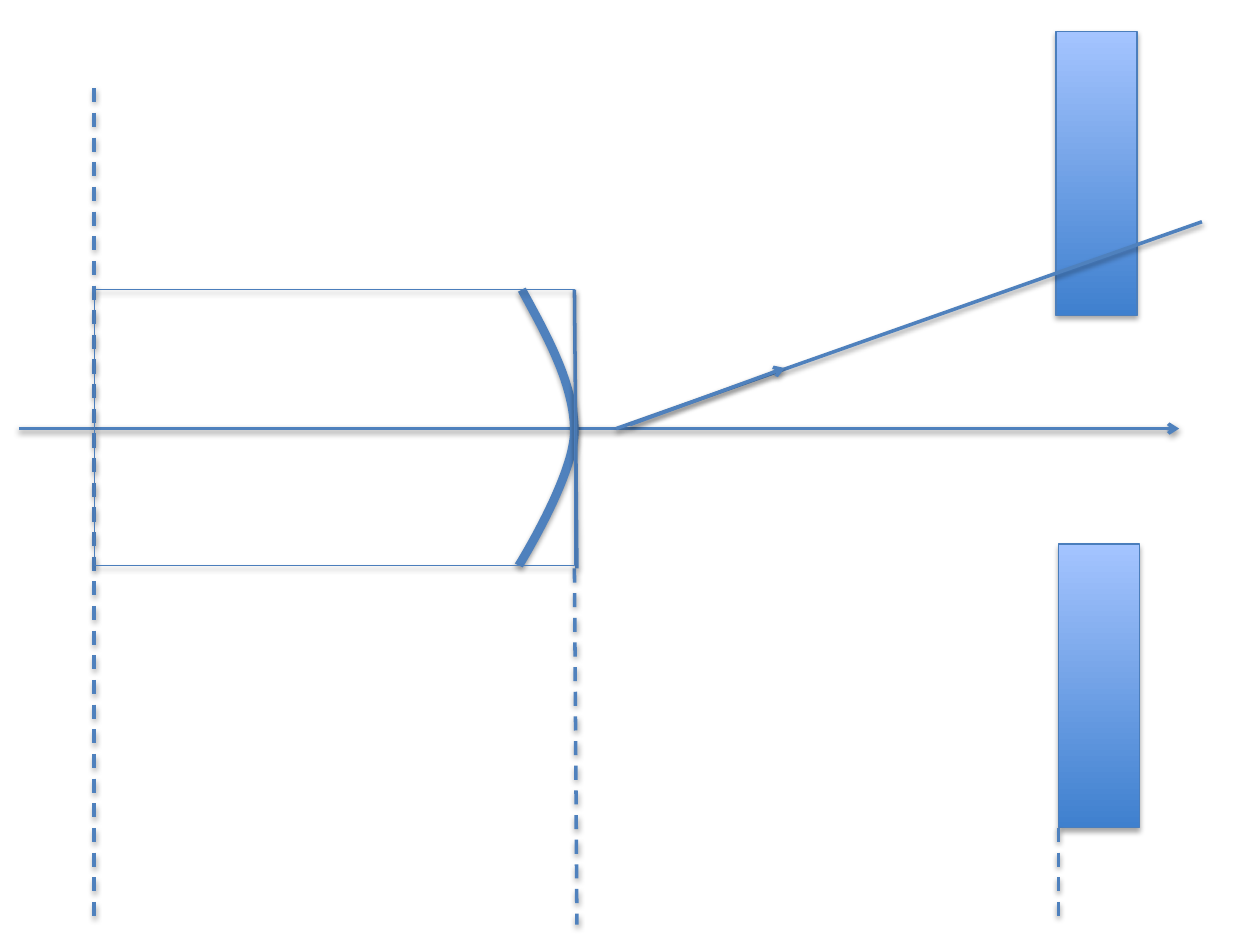
from lxml.etree import SubElement as Sub
from pptx import Presentation as Deck
from pptx.dml.color import RGBColor as Rgb
from pptx.enum.dml import MSO_LINE_DASH_STYLE as Dash
from pptx.enum.shapes import MSO_CONNECTOR_TYPE as Link, MSO_AUTO_SHAPE_TYPE as Auto
from pptx.oxml.ns import qn
from pptx.util import Cm, Pt

BLUE = Rgb(0x4F, 0x81, 0xBD)
EDGE = Rgb(0x4B, 0x7E, 0xBC)
DARK = Rgb(0x3F, 0x80, 0xCE)
LIGHT = Rgb(0xA4, 0xC4, 0xFF)

SOLID = {"width": Pt(2)}
DASHED = {"width": Pt(2), "dash_style": Dash.DASH}
THICK = {"width": Pt(5)}
THIN = {"width": Pt(0.75)}

AXIS = 8.64
LEFT, FRONT = 1.9, 11.58
TOP, BASE = 5.84, 11.4
FOOT = 18.64
WIDE, TALL = 1.63, 5.72
SLABS = [(21.29, 0.64), (21.34, 10.97)]
ARC = [
    [(10.52, TOP), (11.05, 6.81), (FRONT, 7.77), (FRONT, 8.71)],
    [(FRONT, 8.71), (11.56, 9.63), (10.46, BASE), (10.46, BASE)],
]


def shade(shape, dist, alpha):
    """Give a shape a soft shadow that falls straight down."""
    fx = Sub(shape._element.spPr, qn("a:effectLst"))
    drop = Sub(fx, qn("a:outerShdw"), blurRad="40000", dist=str(dist),
               dir="5400000", rotWithShape="0")
    tint = Sub(drop, qn("a:srgbClr"), val="000000")
    Sub(tint, qn("a:alpha"), val=str(alpha * 1000))


def style(shape, color, form, dist=20000, alpha=38):
    """Set the outline from a format dict, then the shadow."""
    shape.line.color.rgb = color
    for name, value in form.items():
        setattr(shape.line, name, value)
    shade(shape, dist, alpha)


def line(slide, start, end, form=SOLID, arrow=False):
    """Draw a straight line, with an arrowhead at its end if asked."""
    ends = [Cm(v) for v in (*start, *end)]
    link = slide.shapes.add_connector(Link.STRAIGHT, *ends)
    style(link, BLUE, form)
    if arrow:
        Sub(link.line._get_or_add_ln(), qn("a:tailEnd"), type="arrow")


def box(slide, x, y, wide, tall, filled=False):
    """Draw a thin rectangle, open or with an upward gradient."""
    area = [Cm(v) for v in (x, y, wide, tall)]
    rect = slide.shapes.add_shape(Auto.RECTANGLE, *area)
    if filled:
        rect.fill.gradient()
        rect.fill.gradient_angle = 90
        for stop, color in zip(rect.fill.gradient_stops, (DARK, LIGHT)):
            stop.color.rgb = color
    else:
        rect.fill.background()
    style(rect, EDGE, THIN, 23000, 35)


def bend(knots, t):
    """Return the point at t on a cubic curve."""
    parts = ((1 - t) ** 3, 3 * t * (1 - t) ** 2, 3 * t * t * (1 - t), t ** 3)
    return tuple(Cm(sum(p * k[i] for p, k in zip(parts, knots)))
                 for i in (0, 1))


def curve(slide, arcs, steps=24):
    """Draw cubic arcs as one open outline."""
    dots = [bend(arc, n / steps) for arc in arcs for n in range(steps + 1)]
    pen = slide.shapes.build_freeform(*dots[0], scale=1.0)
    pen.add_line_segments(dots[1:], close=False)
    shape = pen.convert_to_shape()
    shape.fill.background()
    style(shape, BLUE, THICK)


def main():
    """Build the slide and save it."""
    deck = Deck()
    deck.slide_width, deck.slide_height = Cm(25.4), Cm(19.05)
    slide = deck.slides.add_slide(deck.slide_layouts[6])

    line(slide, (0.38, AXIS), (23.77, AXIS), arrow=True)
    line(slide, (LEFT, 1.78), (LEFT, FOOT), DASHED)
    curve(slide, ARC)
    line(slide, (FRONT, TOP), (11.63, 11.46))
    line(slide, (FRONT, 11.46), (11.63, FOOT), DASHED)
    for x, y in SLABS:
        box(slide, x, y, WIDE, TALL, filled=True)
    x, y = SLABS[-1]
    line(slide, (x, y + TALL), (x, FOOT), DASHED)
    box(slide, LEFT, TOP, FRONT - LEFT, BASE - TOP)
    line(slide, (12.42, AXIS), (24.23, 4.47))
    line(slide, (12.7, 8.56), (15.82, 7.42), arrow=True)

    deck.save("out.pptx")


main()
